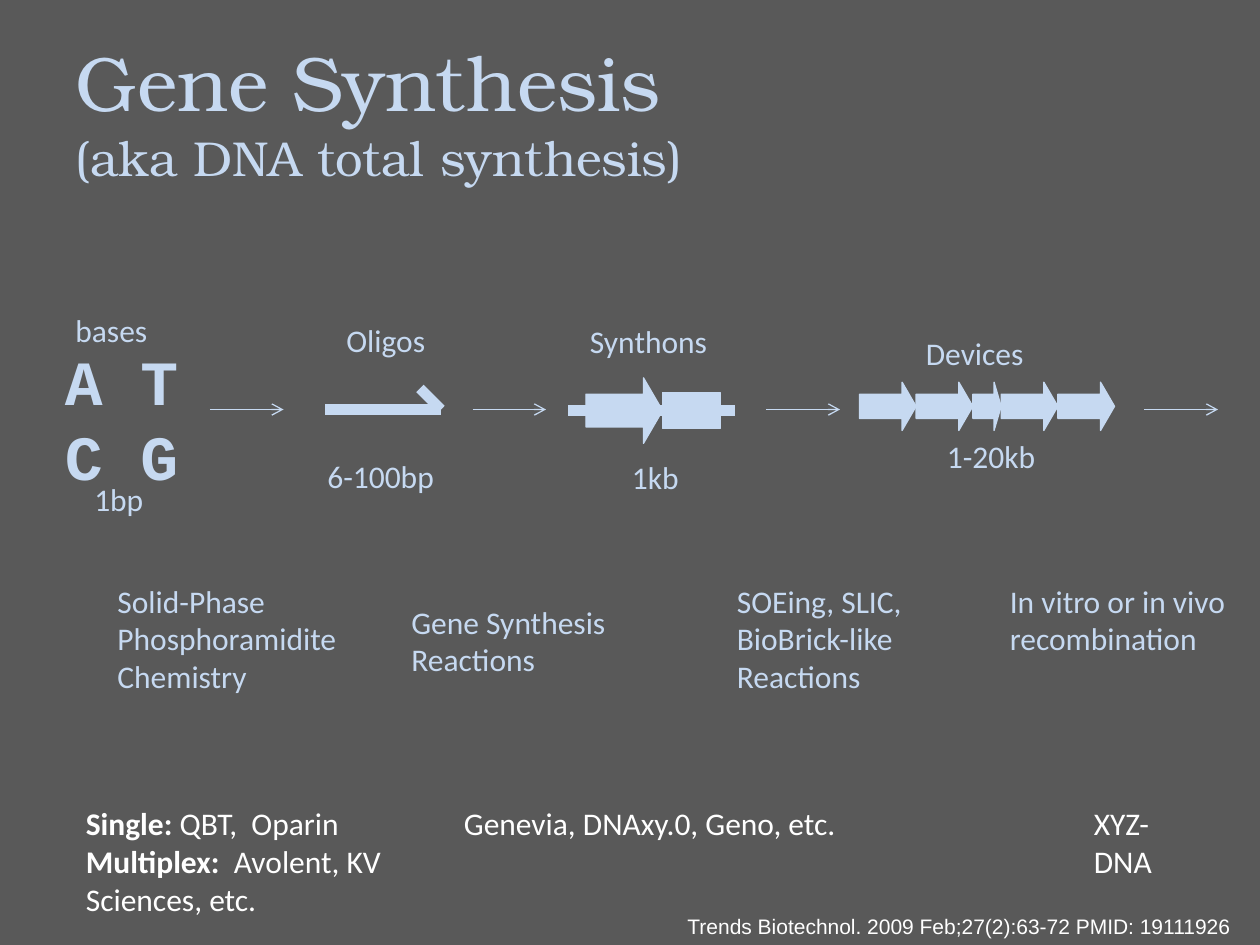
from pptx import Presentation
from pptx.dml.color import RGBColor
from pptx.enum.shapes import MSO_CONNECTOR as Link, MSO_SHAPE as Shape
from pptx.enum.text import MSO_ANCHOR as Anchor, MSO_AUTO_SIZE as Fit, PP_ALIGN as Align
from pptx.oxml.ns import qn
from pptx.util import Inches, Pt
from lxml.etree import SubElement

COLORS = {"back": "595959", "pale": "C6D9F1", "white": "FFFFFF"}
COLS, ROWS = 120, 90
WIDE, HIGH = Inches(10), Inches(7.5)
AXIS = 39  # row on which the steps are lined up


def col(n):
    return int(WIDE * n / COLS)


def row(n):
    return int(HIGH * n / ROWS)


def box(x, y, w, h):
    return col(x), row(y), col(w), row(h)


def rgb(name):
    return RGBColor.from_string(COLORS[name])


def style(para, size, face="Calibri", color="pale", bold=None):
    font = para.font
    font.size, font.name, font.bold = Pt(size), face, bold
    font.color.rgb = rgb(color)


def add_title(slide, lines):
    """Fill the title with (text, size) lines."""
    title = slide.shapes.title
    title.left, title.top, title.width, title.height = box(6, 3, 108, 15)
    frame = title.text_frame
    frame.auto_size, frame.vertical_anchor = Fit.NONE, Anchor.MIDDLE
    frame.text = "\n".join(text for text, _ in lines)
    for para, (_, size) in zip(frame.paragraphs, lines):
        para.alignment = Align.LEFT
        style(para, size, "TeX Gyre Bonum")


def add_text(slide, text, place, size=18, wrap=True, **look):
    """Add a text box; in each line, what stands before a | is bold."""
    frame = slide.shapes.add_textbox(*box(*place)).text_frame
    frame.word_wrap, frame.auto_size = wrap, Fit.SHAPE_TO_FIT_TEXT
    for i, line in enumerate(text.split("\n")):
        para = frame.add_paragraph() if i else frame.paragraphs[0]
        head, bar, rest = line.rpartition("|")
        if bar:
            para.add_run().text = head
            para.runs[0].font.bold = True
        para.add_run().text = rest
        style(para, size, **look)


def add_line(shapes, x1, y1, x2, y2, width=6, arrow=False):
    line = shapes.add_connector(Link.STRAIGHT, col(x1), row(y1), col(x2), row(y2))
    line.line.color.rgb, line.line.width = rgb("pale"), Pt(width)
    if arrow:
        SubElement(line.line._get_or_add_ln(), qn("a:tailEnd"), type="arrow")
    SubElement(line._element.spPr, qn("a:effectLst"))


def add_block(shapes, kind, x, w, h, mid=AXIS, tip=None):
    """Add a block centred on row mid; tip is the length of an arrow's head."""
    block = shapes.add_shape(kind, *box(x, mid - h / 2, w, h))
    block.shadow.inherit = False
    block.fill.solid()
    block.fill.fore_color.rgb = block.line.color.rgb = rgb("pale")
    block.line.width = Pt(0.75)
    if tip:
        block.adjustments[1] = tip


def add_oligo(slide):
    add_line(slide.shapes, 31, AXIS, 42, AXIS)
    add_line(slide.shapes, 42, AXIS, 40, AXIS - 2)


def add_synthon(slide):
    parts = slide.shapes.add_group_shape().shapes
    add_block(parts, Shape.RIGHT_ARROW, 55.8, 7.3, 6.24, 39.1, 0.29)
    add_block(parts, Shape.RECTANGLE, 63.1, 5.5, 3.45, 39.1)
    add_line(parts, 54.1, 39.1, 70, 39.1)


def add_device(slide):
    parts = slide.shapes.add_group_shape().shapes
    x = 81.85
    for w, tip in [(5.4, 0.29), (5.4, 0.29), (2.7, 0.25), (5.4, 0.29), (5.4, 0.29)]:
        add_block(parts, Shape.RIGHT_ARROW, x, w, 4.6, 38.7, tip)
        x += w


def main():
    deck = Presentation()
    deck.slide_width, deck.slide_height = WIDE, HIGH
    slide = deck.slides.add_slide(deck.slide_layouts[5])
    slide.background.fill.solid()
    slide.background.fill.fore_color.rgb = rgb("back")
    add_title(slide, [("Gene Synthesis", 44), ("(aka DNA total synthesis)", 28)])

    add_text(slide, "A T\nC G", (5, 32, 18, 15.7), 36, face="Courier New", bold=True)
    add_oligo(slide)
    add_synthon(slide)
    add_device(slide)
    for x in (20, 45, 73, 109):
        add_line(slide.shapes, x, AXIS, x + 7, AXIS, 0.75, True)

    labels = [
        ("bases", 6, 29, 9.4), ("1bp", 7.8, 45.1, 7.2),
        ("Oligos", 31.8, 30, 10), ("6-100bp", 30, 42.9, 12.7),
        ("Synthons", 55, 30.1, 13.8), ("1kb", 59, 43, 7),
        ("Devices", 87, 31.2, 11.9), ("1-20kb", 89, 41, 10.9),
    ]
    for text, x, y, w in labels:
        add_text(slide, text, (x, y, w, 4.8), wrap=False)

    methods = [
        ("Solid-Phase Phosphoramidite\nChemistry", 10, 54.8, 27, 12.1),
        ("Gene Synthesis Reactions", 38, 56.8, 21, 8.5),
        ("SOEing, SLIC, BioBrick-like Reactions", 69, 54.8, 23, 12.1),
        ("In vitro or in vivo recombination", 95, 54.8, 25, 8.5),
    ]
    for text, *place in methods:
        add_text(slide, text, place)

    makers = [
        ("Single:| QBT,  Oparin\nMultiplex:|  Avolent, KV Sciences, etc.", 7, 35, 12.1),
        ("Genevia, DNAxy.0, Geno, etc.", 43, 57, 4.8),
        ("XYZ-DNA", 103, 13, 4.8),
    ]
    for text, x, w, h in makers:
        add_text(slide, text, (x, 76, w, h), color="white")
    add_text(slide, "Trends Biotechnol. 2009 Feb;27(2):63-72 PMID: 19111926",
             (64.3, 86.4, 55.7, 3.6), 12, face="Arial", color="white")
    deck.save("out.pptx")


if __name__ == "__main__":
    main()
